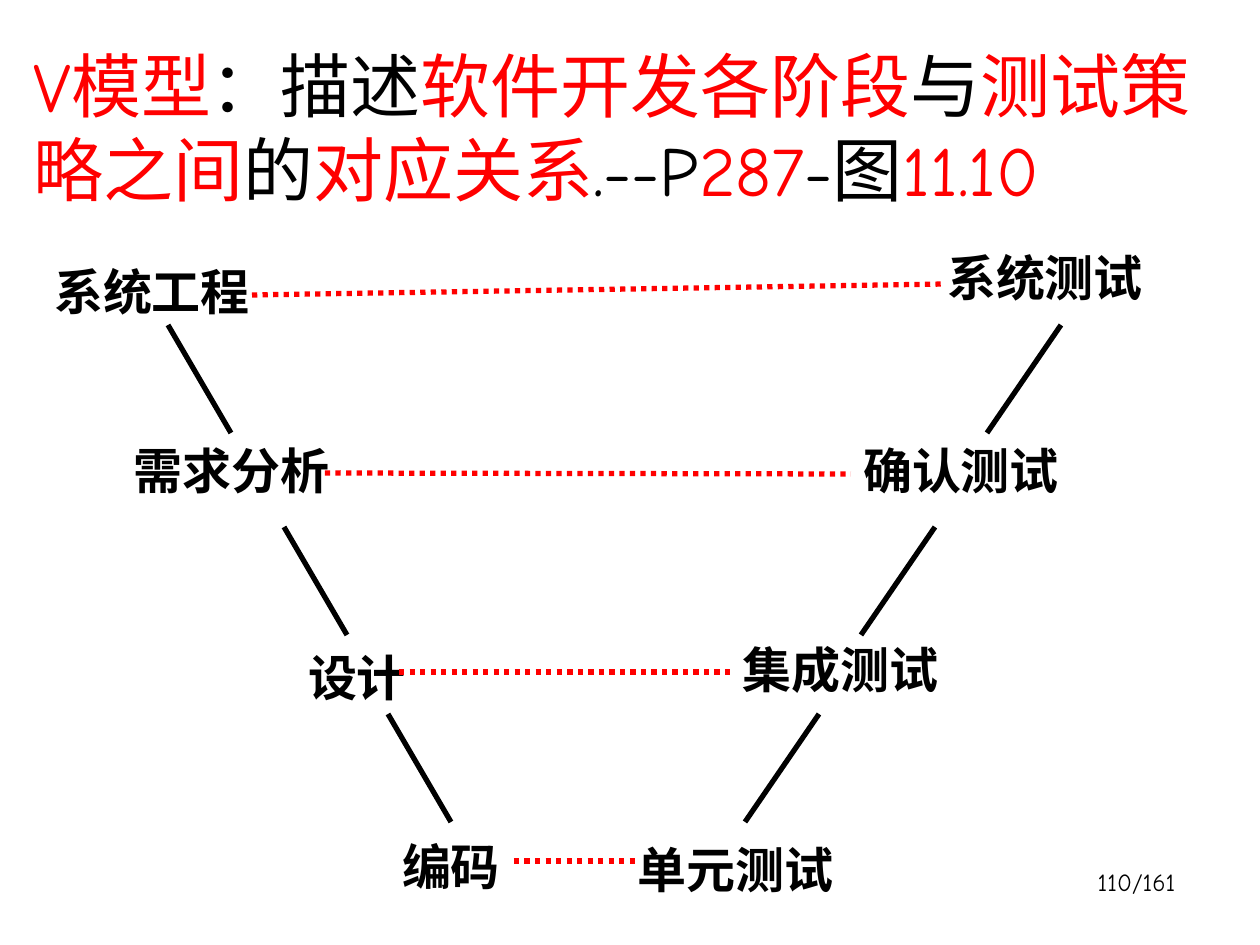
from pptx import Presentation
from pptx.dml.color import RGBColor
from pptx.enum.dml import MSO_LINE_DASH_STYLE as DASH
from pptx.enum.shapes import MSO_CONNECTOR
from pptx.enum.text import MSO_ANCHOR, MSO_AUTO_SIZE, PP_ALIGN
from pptx.oxml.ns import qn
from pptx.util import Pt
from lxml.etree import SubElement

PX = 914400 / 126
BLACK, RED = "000000", "FF0000"
LATIN, CJK = "Comic Neue", "Noto Sans CJK SC"


def add_span(para, text, size, color, font=LATIN, bold=False):
    span = para.add_run()
    span.text = text
    span.font.size = Pt(size)
    span.font.bold = bold
    span.font.name = font
    span.font.color.rgb = RGBColor.from_string(color)
    SubElement(span.font._element, qn("a:ea")).set("typeface", CJK)


def add_line(x1, y1, x2, y2, color):
    line = page.shapes.add_connector(
        MSO_CONNECTOR.STRAIGHT, *[round(v * PX) for v in (x1, y1, x2, y2)])
    line.line.color.rgb = RGBColor.from_string(color)
    line.line.width = Pt(3)
    SubElement(line._element.spPr, qn("a:effectLst"))
    return line


deck = Presentation()
deck.slide_width, deck.slide_height = round(1260 * PX), round(945 * PX)
page = deck.slides.add_slide(deck.slide_layouts[1])
title = page.shapes.title
title._element.getparent().remove(title._element)

# Statement of the V model
body = page.placeholders[1]
body.left, body.top = round(21 * PX), round(36 * PX)
body.width, body.height = round(1201 * PX), round(846 * PX)
body.text_frame.auto_size = MSO_AUTO_SIZE.NONE
para = body.text_frame.paragraphs[0]
props = para._p.get_or_add_pPr()
props.set("marL", "0")
props.set("indent", "0")
SubElement(props, qn("a:buNone"))
para.space_before = Pt(0)
para.line_spacing = Pt(48)
statement = ["V模型", "：描述", "软件开发各阶段", "与", "测试策略之间", "的",
             "对应关系", ".--P", "287", "-图", "11.10"]
for index, text in enumerate(statement):
    add_span(para, text, 40, BLACK if index % 2 else RED)

# Phases and tests: text, left, top, width
labels = [
    ("系统工程", 31, 252, 242), ("系统测试", 903, 238, 284),
    ("需求分析", 116, 431, 231), ("确认测试", 840, 431, 242),
    ("设计", 252, 638, 210), ("集成测试", 725, 630, 231),
    ("编码", 346, 827, 210), ("单元测试", 620, 830, 231),
]
for text, left, top, width in labels:
    box = page.shapes.add_textbox(*[round(v * PX) for v in (left, top, width, 74)])
    frame = box.text_frame
    frame.word_wrap = True
    frame.vertical_anchor = MSO_ANCHOR.MIDDLE
    para = frame.paragraphs[0]
    para.alignment = PP_ALIGN.CENTER
    para.line_spacing = 1.05
    add_span(para, text, 28, BLACK, CJK, bold=True)

# Both arms of the V
for top, left_x, right_x in [(325, 168, 1061), (527, 284, 935), (714, 388, 819)]:
    add_line(left_x, top, left_x + 63, top + 108, BLACK)
    add_line(right_x, top, right_x - 74, top + 108, BLACK)

# Dotted links from each phase to its test
for ends in [(252, 295, 945, 284), (325, 473, 851, 474),
             (399, 672, 735, 672), (514, 861, 640, 861)]:
    add_line(*ends, RED).line.dash_style = DASH.ROUND_DOT

number = page.shapes.add_textbox(*[round(v * PX) for v in (926, 861, 262, 63)])
number.text_frame.word_wrap = True
para = number.text_frame.paragraphs[0]
para.alignment = PP_ALIGN.RIGHT
add_span(para, "110/161", 14, BLACK)

deck.save("out.pptx")
